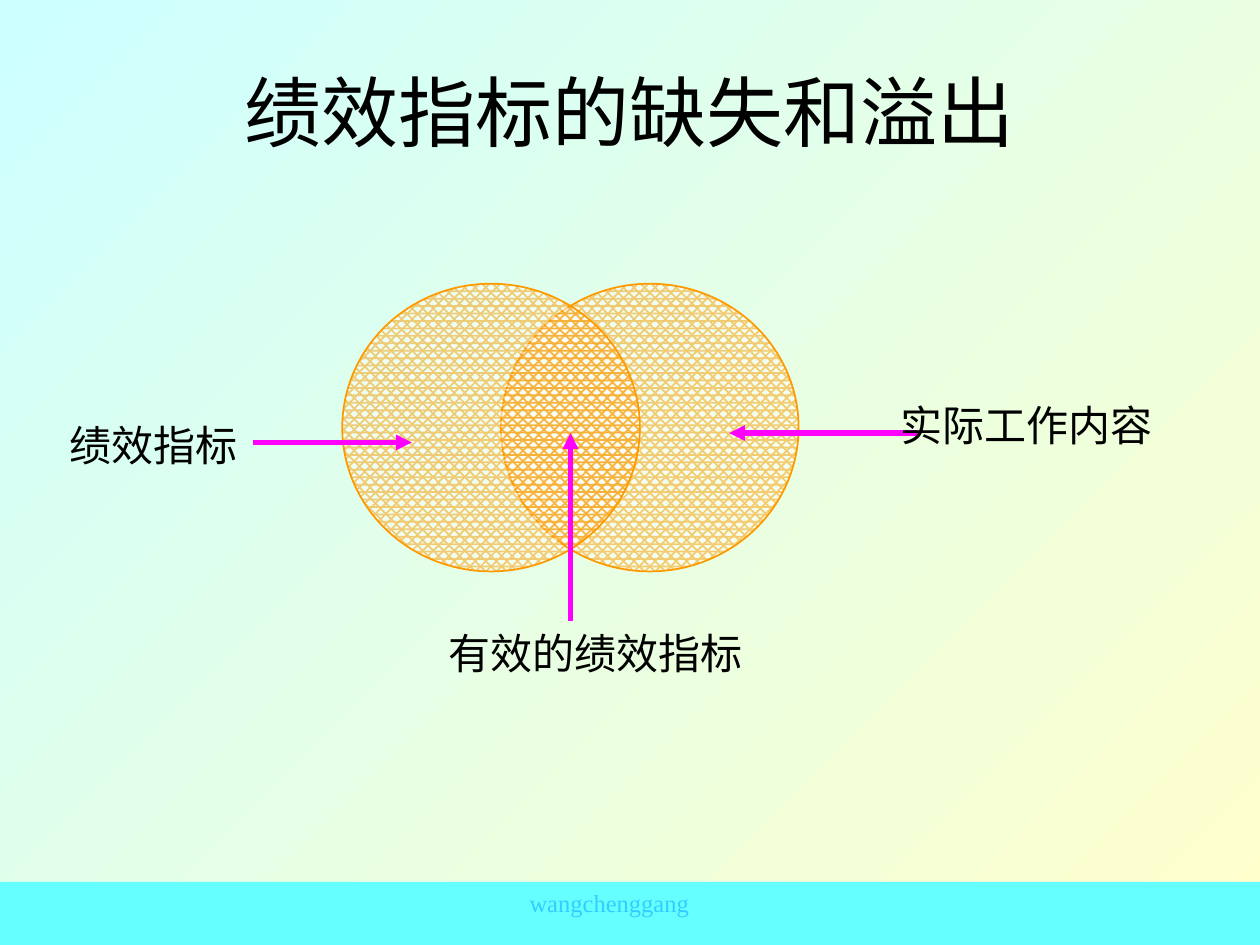
from lxml.etree import SubElement as Sub
from pptx import Presentation
from pptx.dml.color import RGBColor
from pptx.enum.dml import MSO_PATTERN as Pat
from pptx.enum.shapes import MSO_CONNECTOR as Conn, MSO_SHAPE as Shape
from pptx.enum.text import MSO_ANCHOR as Anchor, PP_ALIGN as Align
from pptx.oxml.ns import qn
from pptx.util import Cm, Pt

FONT = "Times New Roman"
ORANGE = "FF9900"


def paint(color, code):
    color.rgb = RGBColor.from_string(code)


def shade(slide):
    fill = slide.background.fill
    fill.gradient()
    fill.gradient_angle = 315
    for stop, code in zip(fill.gradient_stops, ("CCFFFF", "FFFFCC")):
        paint(stop.color, code)


def write(frame, text, size, code="000000"):
    frame.text = text
    para = frame.paragraphs[0]
    para.alignment = Align.CENTER
    para.font.size = Pt(size)
    para.font.name = FONT
    paint(para.font.color, code)


def label(slide, text, left, top, width, size=24, code="000000"):
    box = slide.shapes.add_textbox(Cm(left), Cm(top), Cm(width), Cm(1.27))
    box.text_frame.word_wrap = True
    write(box.text_frame, text, size, code)


def title(slide, text):
    head = slide.shapes.title
    head.left, head.top, head.width, head.height = Cm(1.9), Cm(0.64), Cm(21.6), Cm(3.18)
    head.text_frame.vertical_anchor = Anchor.MIDDLE
    write(head.text_frame, text, 44)


def band(slide):
    bar = slide.shapes.add_shape(Shape.RECTANGLE, 0, Cm(17.78), Cm(25.4), Cm(1.27))
    bar.shadow.inherit = False
    bar.fill.solid()
    paint(bar.fill.fore_color, "66FFFF")
    bar.line.fill.background()


def circle(slide, left):
    disc = slide.shapes.add_shape(Shape.OVAL, Cm(left), Cm(5.72), Cm(6), Cm(5.8))
    disc.shadow.inherit = False
    disc.fill.patterned()
    disc.fill.pattern = Pat.PERCENT_60
    paint(disc.fill.fore_color, ORANGE)
    paint(disc.fill.back_color, "FFFFFF")
    for tone in disc._element.spPr.find(qn("a:pattFill")).iter(qn("a:srgbClr")):
        Sub(tone, qn("a:alpha"), val="50000")
    paint(disc.line.color, ORANGE)
    disc.line.width = Pt(1)


def arrow(slide, *ends):
    link = slide.shapes.add_connector(Conn.STRAIGHT, *map(Cm, ends))
    paint(link.line.color, "FF00FF")
    link.line.width = Pt(3)
    Sub(link.line._get_or_add_ln(), qn("a:tailEnd"), type="triangle")
    Sub(link._element.spPr, qn("a:effectLst"))


def main():
    deck = Presentation()
    deck.slide_width, deck.slide_height = Cm(25.4), Cm(19.05)
    slide = deck.slides.add_slide(deck.slide_layouts[5])
    shade(slide)
    title(slide, "绩效指标的缺失和溢出")
    band(slide)
    label(slide, "wangchenggang", 8.26, 17.78, 8.05, 14, "33CCFF")
    for left in (10.1, 6.9):
        circle(slide, left)
    arrow(slide, 18.5, 8.73, 14.7, 8.73)
    label(slide, "实际工作内容", 17.9, 7.92, 5.6)
    arrow(slide, 5.1, 8.92, 8.3, 8.92)
    label(slide, "绩效指标", 1.1, 8.33, 4)
    arrow(slide, 11.5, 12.52, 11.5, 8.73)
    label(slide, "有效的绩效指标", 7.7, 12.52, 8.6)
    deck.save("out.pptx")


if __name__ == "__main__":
    main()
